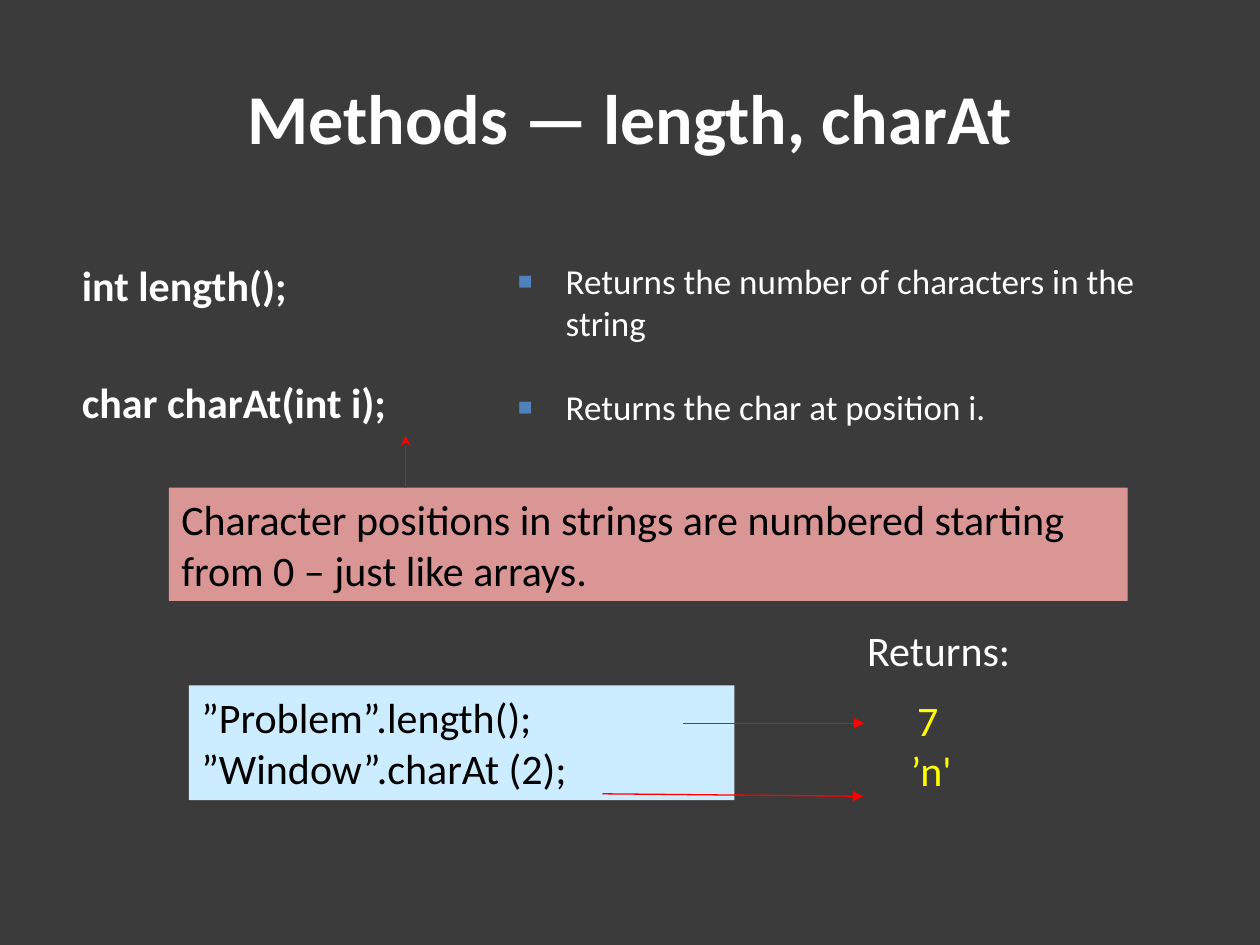
from lxml import etree
from pptx import Presentation
from pptx.dml.color import RGBColor
from pptx.enum.shapes import MSO_CONNECTOR, MSO_SHAPE
from pptx.enum.text import MSO_ANCHOR, PP_ALIGN
from pptx.oxml.ns import qn
from pptx.util import Inches, Pt

FONT = "Calibri"
TWO_CONTENT = 3
LEFT, CENTER = PP_ALIGN.LEFT, PP_ALIGN.CENTER
TOP, MIDDLE = MSO_ANCHOR.TOP, MSO_ANCHOR.MIDDLE
RECTANGLE, STRAIGHT = MSO_SHAPE.RECTANGLE, MSO_CONNECTOR.STRAIGHT
HANGING = 0.38  # list indent
COLORS = {
    "background": "3B3B3B", "light": "FFFFFF", "dark": "000000",
    "result": "FFFF00", "code": "CCECFF", "note": "D99694",
    "bullet": "4F81BD", "arrow": "FF0000",
}


def color(name):
    return RGBColor.from_string(COLORS[name])


def place(sp, left, top, width, height):
    sp.left, sp.top = Inches(left), Inches(top)
    sp.width, sp.height = Inches(width), Inches(height)


def write(sp, lines, size, ink, bold=False, align=LEFT, anchor=TOP):
    """Fill a shape with one paragraph per line and return the paragraphs."""
    tf = sp.text_frame
    tf.word_wrap = True
    tf.vertical_anchor = anchor
    tf.text = "\n".join(lines)
    for p in tf.paragraphs:
        p.alignment = align
        p.font.name, p.font.size, p.font.bold = FONT, Pt(size), bold
        p.font.color.rgb = color(ink)
    return tf.paragraphs


def set_bullet(p, char=None):
    """Give a paragraph a hanging indent, with a square bullet if asked."""
    pPr = p._p.get_or_add_pPr()
    pPr.set("marL", str(Inches(HANGING)))
    pPr.set("indent", str(-Inches(HANGING)))
    if char is None:
        marks = [etree.Element(qn("a:buNone"))]
    else:
        tint = etree.Element(qn("a:buClr"))
        etree.SubElement(tint, qn("a:srgbClr"), val=COLORS["bullet"])
        marks = [tint, etree.Element(qn("a:buSzPct"), val="70000"),
                 etree.Element(qn("a:buFont"), typeface="Arial"),
                 etree.Element(qn("a:buChar"), char=char)]
    for i, mark in enumerate(marks):
        pPr.insert_element_before(mark, "a:tabLst", "a:defRPr", "a:extLst")


def fill_list(sp, box, lines, size, gap, bold=False, char=None):
    place(sp, *box)
    for p in sp.text_frame.paragraphs:
        p.level = 0
    for i, p in enumerate(write(sp, lines, size, "light", bold)):
        set_bullet(p, char)
        p.space_before = Pt(gap if i else 0)


def add_panel(slide, box, lines, fill):
    sp = slide.shapes.add_shape(RECTANGLE, *map(Inches, box))
    sp.shadow.inherit = False
    sp.fill.solid()
    sp.fill.fore_color.rgb = color(fill)
    sp.line.fill.background()
    write(sp, lines, 24, "dark")


def add_label(slide, box, lines, ink, align=LEFT):
    sp = slide.shapes.add_textbox(*map(Inches, box))
    return write(sp, lines, 24, ink, align=align)


def add_arrow(slide, start, end, head="triangle"):
    line = slide.shapes.add_connector(STRAIGHT, *map(Inches, start + end))
    line.line.color.rgb = color("arrow")
    line.line.width = Pt(0.75)
    etree.SubElement(line.line._get_or_add_ln(), qn("a:tailEnd"), type=head)
    etree.SubElement(line._element.spPr, qn("a:effectLst"))


def main():
    prs = Presentation()
    prs.slide_width, prs.slide_height = Inches(10), Inches(7.5)
    slide = prs.slides.add_slide(prs.slide_layouts[TWO_CONTENT])
    slide.background.fill.solid()
    slide.background.fill.fore_color.rgb = color("background")
    title, methods, meanings = slide.placeholders

    # Title
    place(title, 0.5, 0.3, 9, 1.25)
    write(title, ["Methods — length, charAt"], 40, "light", True, CENTER, MIDDLE)

    # Method signatures and what they return
    fill_list(methods, (0.55, 2.01, 3.11, 1.47),
              ["int length();", "char charAt(int i);"], 24, 38, bold=True)
    fill_list(meanings, (4.01, 2.01, 5.15, 1.53),
              ["Returns the number of characters in the string",
               "Returns the char at position i."], 20, 24, char="■")

    # Example calls and their results
    add_label(slide, (6.66, 4.91, 1.58, 0.5), ["Returns:"], "light", CENTER)
    results = add_label(slide, (7.13, 5.46, 1.22, 0.91), ["7", "’n'"], "result")
    results[0]._p.get_or_add_pPr().set("marL", str(Inches(0.05)))
    add_panel(slide, (1.5, 5.44, 4.33, 0.91),
              ["”Problem”.length();", "”Window”.charAt (2);"], "code")
    add_arrow(slide, (4.78, 6.3), (6.85, 6.32))
    add_arrow(slide, (5.42, 5.74), (6.86, 5.74))

    # Note on positions
    add_panel(slide, (1.34, 3.87, 7.61, 0.9),
              ["Character positions in strings are numbered starting "
               "from 0 – just like arrays."], "note")
    add_arrow(slide, (3.22, 3.87), (3.22, 3.46), "stealth")

    prs.save("out.pptx")


if __name__ == "__main__":
    main()
